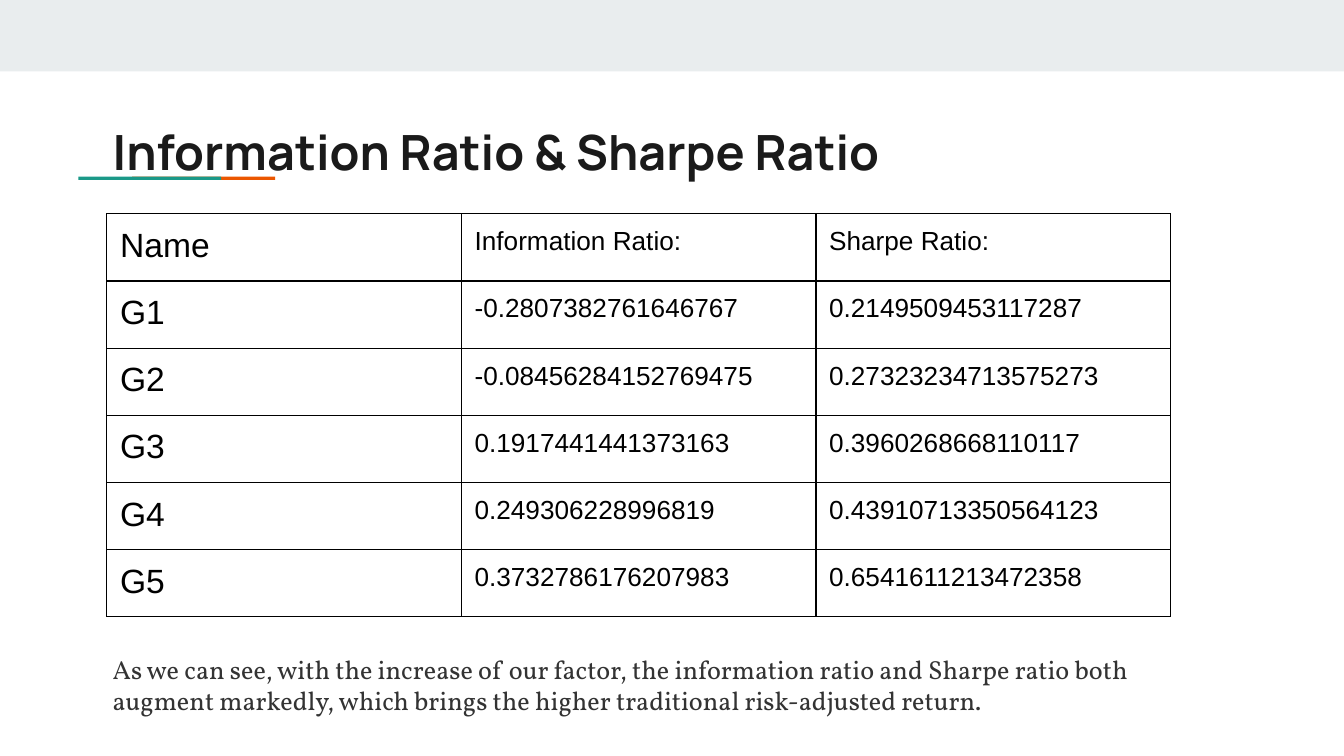
"""Build the slide that compares information and Sharpe ratios by group."""
from dataclasses import dataclass

from lxml import etree
from pptx import Presentation
from pptx import util as u
from pptx.dml.color import RGBColor
from pptx.enum import shapes, text
from pptx.oxml import ns


@dataclass(frozen=True)
class Theme:
    band: str = "E9EDEE"
    orange: str = "EB5600"
    teal: str = "1A9988"
    heading: str = "1A1A1A"
    body: str = "333333"
    ink: str = "000000"
    heading_font: str = "Manrope"
    table_font: str = "Arial"
    body_font: str = "Vollkorn"
    heading_size: float = 26
    name_size: float = 18
    body_size: float = 14
    rule_width: float = 0.75


@dataclass(frozen=True)
class Box:
    left: float
    top: float
    width: float
    height: float

    def lengths(self) -> tuple:
        return tuple(u.Cm(n) for n in (self.left, self.top, self.width, self.height))


@dataclass(frozen=True)
class Bar:
    box: Box
    colour: str


@dataclass(frozen=True)
class Group:
    name: str
    information: str
    sharpe: str


THEME = Theme()
INSET = 0.25

BARS = (
    Bar(Box(0, 0, 25.4, 1.35), THEME.band),
    Bar(Box(2.5, 3.34, 2.7, 0.06), THEME.orange),
    Bar(Box(1.48, 3.34, 2.7, 0.06), THEME.teal),
)
TITLE = Box(1.88, 2.06, 21.36, 1.5)
RATIOS = Box(2.02, 4.04, 20.1, 7.62)
CONCLUSION = Box(1.88, 12.22, 20.42, 1.45)

GROUPS = (
    Group("Name", "Information Ratio:", "Sharpe Ratio:"),
    Group("G1", "-0.2807382761646767", "0.2149509453117287"),
    Group("G2", "-0.08456284152769475", "0.27323234713575273"),
    Group("G3", "0.1917441441373163", "0.3960268668110117"),
    Group("G4", "0.249306228996819", "0.43910713350564123"),
    Group("G5", "0.3732786176207983", "0.6541611213472358"),
)


def write(frame, words: str, *, font: str, size: float, colour: str,
          bold: bool = False) -> None:
    frame.word_wrap = True
    paragraph = frame.paragraphs[0]
    paragraph.alignment = text.PP_ALIGN.LEFT
    run = paragraph.add_run()
    run.text = words
    run.font.name = font
    run.font.size = u.Pt(size)
    run.font.bold = bold
    run.font.color.rgb = RGBColor.from_string(colour)


def draw_bar(slide, bar: Bar) -> None:
    rectangle = slide.shapes.add_shape(shapes.MSO_SHAPE.RECTANGLE, *bar.box.lengths())
    rectangle.shadow.inherit = False
    rectangle.fill.solid()
    rectangle.fill.fore_color.rgb = RGBColor.from_string(bar.colour)
    rectangle.line.fill.background()


def set_insets(holder, inset: float) -> None:
    for side in ("left", "right", "top", "bottom"):
        setattr(holder, f"margin_{side}", u.Cm(inset))


def rule_cell(cell) -> None:
    properties = cell._tc.get_or_add_tcPr()
    for position, side in enumerate(("lnL", "lnR", "lnT", "lnB")):
        line = etree.Element(ns.qn(f"a:{side}"), w=str(u.Pt(THEME.rule_width)))
        fill = etree.SubElement(line, ns.qn("a:solidFill"))
        etree.SubElement(fill, ns.qn("a:srgbClr"), val=THEME.ink)
        properties.insert(position, line)


def draw_title(slide) -> None:
    title = slide.shapes.title
    title.left, title.top, title.width, title.height = TITLE.lengths()
    frame = title.text_frame
    set_insets(frame, INSET)
    frame.vertical_anchor = text.MSO_ANCHOR.TOP
    frame.auto_size = text.MSO_AUTO_SIZE.NONE
    write(frame, "Information Ratio & Sharpe Ratio", font=THEME.heading_font,
          size=THEME.heading_size, colour=THEME.heading, bold=True)


def draw_ratios(slide, groups: tuple[Group, ...]) -> None:
    table = slide.shapes.add_table(len(groups), 3, *RATIOS.lengths()).table
    table.first_row = table.horz_banding = False
    for row, group in enumerate(groups):
        values = (group.name, group.information, group.sharpe)
        for column, value in enumerate(values):
            cell = table.cell(row, column)
            cell.fill.background()
            set_insets(cell, INSET)
            rule_cell(cell)
            write(cell.text_frame, value, font=THEME.table_font, colour=THEME.ink,
                  size=THEME.body_size if column else THEME.name_size)


def draw_conclusion(slide) -> None:
    frame = slide.shapes.add_textbox(*CONCLUSION.lengths()).text_frame
    frame.auto_size = text.MSO_AUTO_SIZE.SHAPE_TO_FIT_TEXT
    write(frame, "As we can see, with the increase of our factor, the information "
          "ratio and Sharpe ratio both augment markedly, which brings the higher "
          "traditional risk-adjusted return.", font=THEME.body_font,
          size=THEME.body_size, colour=THEME.body)


def main() -> None:
    deck = Presentation()
    deck.slide_width, deck.slide_height = u.Cm(25.4), u.Cm(14.29)
    slide = deck.slides.add_slide(deck.slide_layouts[5])
    for bar in BARS:
        draw_bar(slide, bar)
    draw_title(slide)
    draw_ratios(slide, GROUPS)
    draw_conclusion(slide)
    deck.save("out.pptx")


if __name__ == "__main__":
    main()
